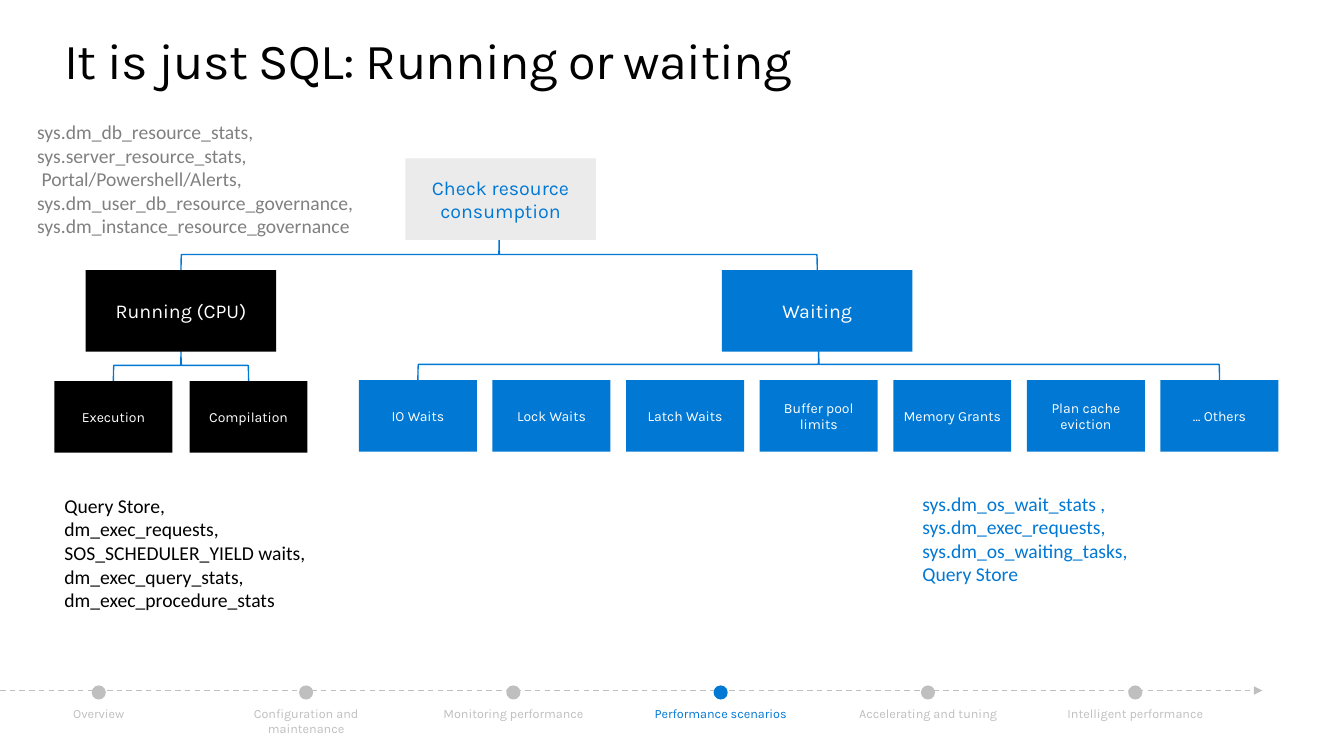
from lxml import etree
from pptx import Presentation
from pptx.dml.color import RGBColor
from pptx.enum.dml import MSO_LINE
from pptx.enum.shapes import MSO_CONNECTOR, MSO_SHAPE as Preset
from pptx.enum.text import MSO_ANCHOR as Anchor, PP_ALIGN as Align
from pptx.oxml.ns import qn
from pptx.util import Inches, Pt

COLORS = {"black": "000000", "blue": "0078D4", "white": "FFFFFF",
          "pale": "EBEBEB", "gray": "808080", "muted": "BFBFBF"}
HEADING_FONT, NOTE_FONT = "Karla", "Calibri"
NODE_W, NODE_H = 1.89, 0.81
LEAF_W, LEAF_H = 1.17, 0.71
BRACE_DEPTH = 0.31
DOT = 0.14


def color(name):
    return RGBColor.from_string(COLORS[name])


def write(frame, text, size, ink, font=HEADING_FONT, align=Align.LEFT,
          anchor=Anchor.TOP, inset=(0, 0)):
    frame.word_wrap = True
    frame.vertical_anchor = anchor
    frame.margin_left = frame.margin_right = Inches(inset[0])
    frame.margin_top = frame.margin_bottom = Inches(inset[1])
    frame.text = text
    for paragraph in frame.paragraphs:
        paragraph.alignment = align
        for run in paragraph.runs:
            run.font.name = font
            run.font.size = Pt(size)
            run.font.color.rgb = color(ink)


def add_filled(slide, preset, left, top, width, height, fill):
    shape = slide.shapes.add_shape(
        preset, Inches(left), Inches(top), Inches(width), Inches(height))
    shape.shadow.inherit = False
    shape.fill.solid()
    shape.fill.fore_color.rgb = color(fill)
    shape.line.fill.background()
    return shape


def add_title(slide, left, top, width, height, text):
    title = slide.shapes.title
    title.left, title.top = Inches(left), Inches(top)
    title.width, title.height = Inches(width), Inches(height)
    write(title.text_frame, text, 36, "black")
    title.text_frame.paragraphs[0].runs[0].font._element.set("spc", "-50")


def add_note(slide, left, top, width, height, lines, ink):
    note = slide.shapes.add_textbox(
        Inches(left), Inches(top), Inches(width), Inches(height))
    write(note.text_frame, "\n".join(lines), 14, ink, NOTE_FONT, inset=(0.1, 0.05))


def add_node(slide, left, top, label, fill, ink="white"):
    node = add_filled(slide, Preset.RECTANGLE, left, top, NODE_W, NODE_H, fill)
    write(node.text_frame, label, 14, ink, align=Align.CENTER,
          anchor=Anchor.MIDDLE, inset=(0.2, 0.16))


def add_brace(slide, first, last, bottom):
    """Bracket opening down onto the centres first and last."""
    span = last - first
    brace = slide.shapes.add_shape(
        Preset.LEFT_BRACE,
        Inches((first + last - BRACE_DEPTH) / 2),
        Inches(bottom - (BRACE_DEPTH + span) / 2),
        Inches(BRACE_DEPTH), Inches(span))
    brace.rotation = 90
    brace.adjustments[0] = 0.015
    brace.adjustments[1] = 0.5
    brace.shadow.inherit = False
    brace.fill.background()
    brace.line.color.rgb = color("blue")
    brace.line.width = Pt(1)


def add_leaves(slide, left, top, width, labels, fill):
    pitch = (width - LEAF_W) / (len(labels) - 1)
    add_brace(slide, left + LEAF_W / 2, left + width - LEAF_W / 2, top)
    for i, label in enumerate(labels):
        leaf = add_filled(slide, Preset.RECTANGLE, left + i * pitch, top,
                          LEAF_W, LEAF_H, fill)
        write(leaf.text_frame, label, 10, "white", align=Align.CENTER,
              anchor=Anchor.MIDDLE, inset=(0.08, 0.16))


def add_tree(slide, left, top):
    running_left, waiting_left, branch_top = left + 0.31, left + 6.62, top + 1.11
    add_brace(slide, running_left + NODE_W / 2, waiting_left + NODE_W / 2, branch_top)
    add_leaves(slide, left, top + 2.21, 2.51, ["Execution", "Compilation"], "black")
    add_leaves(slide, left + 3.02, top + 2.2, 9.12,
               ["IO Waits", "Lock Waits", "Latch Waits", "Buffer pool limits",
                "Memory Grants", "Plan cache eviction", "… Others"], "blue")
    add_node(slide, left + 3.48, top, "Check resource consumption", "pale", "blue")
    add_node(slide, running_left, branch_top, "Running (CPU)", "black")
    add_node(slide, waiting_left, branch_top, "Waiting", "blue")


def add_timeline(slide, left, top, width, stages, current):
    # Dashed arrow
    axis = slide.shapes.add_connector(
        MSO_CONNECTOR.STRAIGHT, Inches(left), Inches(top),
        Inches(left + width), Inches(top))
    axis.line.color.rgb = color("muted")
    axis.line.width = Pt(1)
    axis.line.dash_style = MSO_LINE.DASH
    etree.SubElement(axis.line._get_or_add_ln(), qn("a:tailEnd"), type="triangle")
    etree.SubElement(axis._element.spPr, qn("a:effectLst"))

    # Stage dots and labels
    first, last, label_w = left + 0.98, left + 11.26, 1.7
    pitch = (last - first) / (len(stages) - 1)
    for i, stage in enumerate(stages):
        center = first + i * pitch
        ink = "blue" if stage == current else "muted"
        add_filled(slide, Preset.OVAL, center - DOT / 2, top - 0.05, DOT, DOT, ink)
        label = slide.shapes.add_textbox(
            Inches(center - label_w / 2), Inches(top + 0.15),
            Inches(label_w), Inches(0.15))
        write(label.text_frame, stage, 9, ink, align=Align.CENTER)


def main():
    deck = Presentation()
    deck.slide_width, deck.slide_height = Inches(13.33), Inches(7.5)
    slide = deck.slides.add_slide(deck.slide_layouts[5])

    add_title(slide, 0.64, 0.29, 12.05, 0.61, "It is just SQL: Running or waiting")
    add_tree(slide, 0.54, 1.57)

    # Where to look for each branch
    add_note(slide, 0.27, 1.14, 3.44, 1.51,
             ["sys.dm_db_resource_stats,", "sys.server_resource_stats,",
              " Portal/Powershell/Alerts,", "sys.dm_user_db_resource_governance,",
              "sys.dm_instance_resource_governance"], "gray")
    add_note(slide, 0.54, 4.85, 3.12, 1.28,
             ["Query Store,", "dm_exec_requests,", "SOS_SCHEDULER_YIELD waits,",
              "dm_exec_query_stats,", "dm_exec_procedure_stats"], "black")
    add_note(slide, 9.05, 4.83, 4.01, 1.04,
             ["sys.dm_os_wait_stats ,", "sys.dm_exec_requests,",
              "sys.dm_os_waiting_tasks,", "Query Store"], "blue")

    add_timeline(slide, 0, 6.85, 12.52,
                 ["Overview", "Configuration and maintenance",
                  "Monitoring performance", "Performance scenarios",
                  "Accelerating and tuning", "Intelligent performance"],
                 "Performance scenarios")
    deck.save("out.pptx")


if __name__ == "__main__":
    main()
